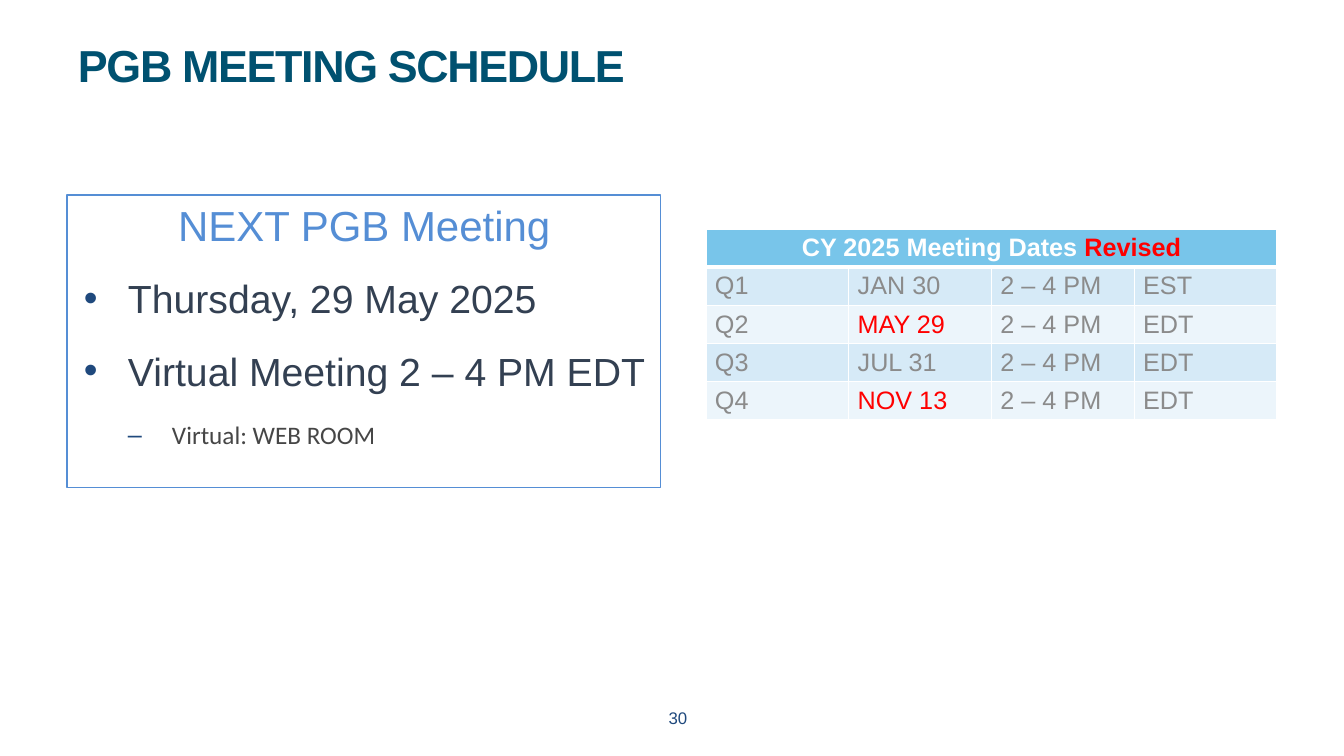
from dataclasses import dataclass

from lxml import etree
from pptx import Presentation
from pptx import util as u
from pptx.dml.color import RGBColor
from pptx.enum import text
from pptx.oxml import ns


@dataclass(frozen=True)
class Theme:
    font: str = "Arial"
    minor_font: str = "Calibri"
    title: str = "005170"
    accent: str = "558ED5"
    navy: str = "1F497D"
    body: str = "334052"
    sub: str = "464646"
    muted: str = "8B8B8B"
    alert: str = "FF0000"
    white: str = "FFFFFF"
    header_fill: str = "78C5EA"
    bands: tuple = ("D6EAF7", "ECF5FB")
    title_pt: int = 32
    heading_pt: int = 30
    body_pt: int = 28
    small_pt: int = 18
    number_pt: int = 12


T = Theme()
CENTER = text.PP_ALIGN.CENTER
LEFT = text.PP_ALIGN.LEFT


def px(n):
    return u.Emu(round(n * 914400 / 100.8))


def rgb(value):
    return RGBColor.from_string(value)


def place(sp, box):
    sp.left, sp.top, sp.width, sp.height = map(px, box)


def set_frame(tf, top):
    tf.word_wrap = True
    tf.auto_size = text.MSO_AUTO_SIZE.NONE
    tf.vertical_anchor = text.MSO_ANCHOR.TOP
    tf.margin_left, tf.margin_right = px(11), px(10)
    tf.margin_top, tf.margin_bottom = px(top), px(5)


def add_run(p, words, size, color, font=T.font, bold=False, spacing=None):
    r = p.add_run()
    r.text = words
    r.font.size, r.font.name, r.font.bold = u.Pt(size), font, bold
    r.font.color.rgb = rgb(color)
    if spacing is not None:
        r.font._element.set("spc", str(spacing * 100))


def set_spacing(p, align=LEFT, before=0, after=0, line=1.0):
    p.alignment, p.line_spacing = align, line
    p.space_before, p.space_after = u.Pt(before), u.Pt(after)


def set_bullet(p, char=None, left=0, hang=0):
    pPr = p._p.get_or_add_pPr()
    pPr.set("marL", str(px(left)))
    pPr.set("indent", str(-px(hang)))
    if char is None:
        etree.SubElement(pPr, ns.qn("a:buNone"))
        return
    color = etree.SubElement(pPr, ns.qn("a:buClr"))
    etree.SubElement(color, ns.qn("a:srgbClr"), val=T.navy)
    etree.SubElement(pPr, ns.qn("a:buFont"), typeface=T.font)
    etree.SubElement(pPr, ns.qn("a:buChar"), char=char)


def fill_title(sp, box, words):
    place(sp, box)
    set_frame(sp.text_frame, 6)
    p = sp.text_frame.paragraphs[0]
    set_spacing(p, line=0.8)
    add_run(p, words, T.title_pt, T.title, bold=True, spacing=-1)


def fill_next_meeting(sp, box, heading, items, detail):
    place(sp, box)
    sp.line.color.rgb, sp.line.width = rgb(T.accent), u.Pt(0.75)
    tf = sp.text_frame
    set_frame(tf, 4)
    p = tf.paragraphs[0]
    set_spacing(p, CENTER, after=12)
    set_bullet(p)
    add_run(p, heading, T.heading_pt, T.accent)
    for item in items:
        p = tf.add_paragraph()
        set_spacing(p, before=6, after=12)
        set_bullet(p, "•", 50, 44)
        add_run(p, item, T.body_pt, T.body)
    p = tf.add_paragraph()
    p.level = 1
    set_spacing(p, before=6, after=12)
    set_bullet(p, "–", 94, 44)
    add_run(p, detail, T.small_pt, T.sub, T.minor_font)


def add_slide_number(s, box, number):
    tf = s.shapes.add_textbox(*map(px, box)).text_frame
    set_frame(tf, 5)
    p = tf.paragraphs[0]
    set_spacing(p, CENTER)
    add_run(p, number, T.number_pt, T.navy)


def format_cell(cell, fill, top=1, bottom=1):
    tcPr = cell._tc.get_or_add_tcPr()
    for side, width in (("L", 1), ("R", 1), ("T", top), ("B", bottom)):
        ln = etree.SubElement(tcPr, ns.qn(f"a:ln{side}"), w=str(u.Pt(width)))
        solid = etree.SubElement(ln, ns.qn("a:solidFill"))
        etree.SubElement(solid, ns.qn("a:srgbClr"), val=T.white)
    cell.fill.solid()
    cell.fill.fore_color.rgb = rgb(fill)
    cell.margin_left = cell.margin_right = px(9)
    cell.margin_top, cell.margin_bottom = px(5), px(4)


def add_dates_table(s, box, heading, note, rows, revised):
    cols = len(rows[0])
    table = s.shapes.add_table(len(rows) + 1, cols, *map(px, box)).table
    for col in table.columns:
        col.width = px(box[2] / cols)
    for row in table.rows:
        row.height = px(box[3] / (len(rows) + 1))
    for c in range(cols):
        format_cell(table.cell(0, c), T.header_fill, bottom=3)
    header = table.cell(0, 0)
    header.merge(table.cell(0, cols - 1))
    p = header.text_frame.paragraphs[0]
    p.alignment = CENTER
    add_run(p, heading, T.small_pt, T.white, bold=True)
    add_run(p, note, T.small_pt, T.alert, bold=True)
    for i, values in enumerate(rows):
        for c, value in enumerate(values):
            cell = table.cell(i + 1, c)
            format_cell(cell, T.bands[i % 2], top=1 if i else 3)
            color = T.alert if value in revised else T.muted
            add_run(cell.text_frame.paragraphs[0], value, T.small_pt, color)


def main():
    prs = Presentation()
    prs.slide_width, prs.slide_height = px(1344), px(756)
    s = prs.slides.add_slide(prs.slide_layouts[1])
    fill_title(s.shapes.title, (67, 42, 1210, 90), "PGB MEETING SCHEDULE")
    fill_next_meeting(
        s.placeholders[1], (67, 195, 594, 293), "NEXT PGB Meeting",
        ["Thursday, 29 May 2025", "Virtual Meeting 2 – 4 PM EDT"],
        "Virtual: WEB ROOM")
    add_slide_number(s, (521, 703, 313, 40), "30")
    hours = "2 – 4 PM"
    rows = [("Q1", "JAN 30", hours, "EST"), ("Q2", "MAY 29", hours, "EDT"),
            ("Q3", "JUL 31", hours, "EDT"), ("Q4", "NOV 13", hours, "EDT")]
    add_dates_table(s, (706, 229, 571, 191), "CY 2025 Meeting Dates ",
                    "Revised", rows, {"MAY 29", "NOV 13"})
    prs.save("out.pptx")


if __name__ == "__main__":
    main()
